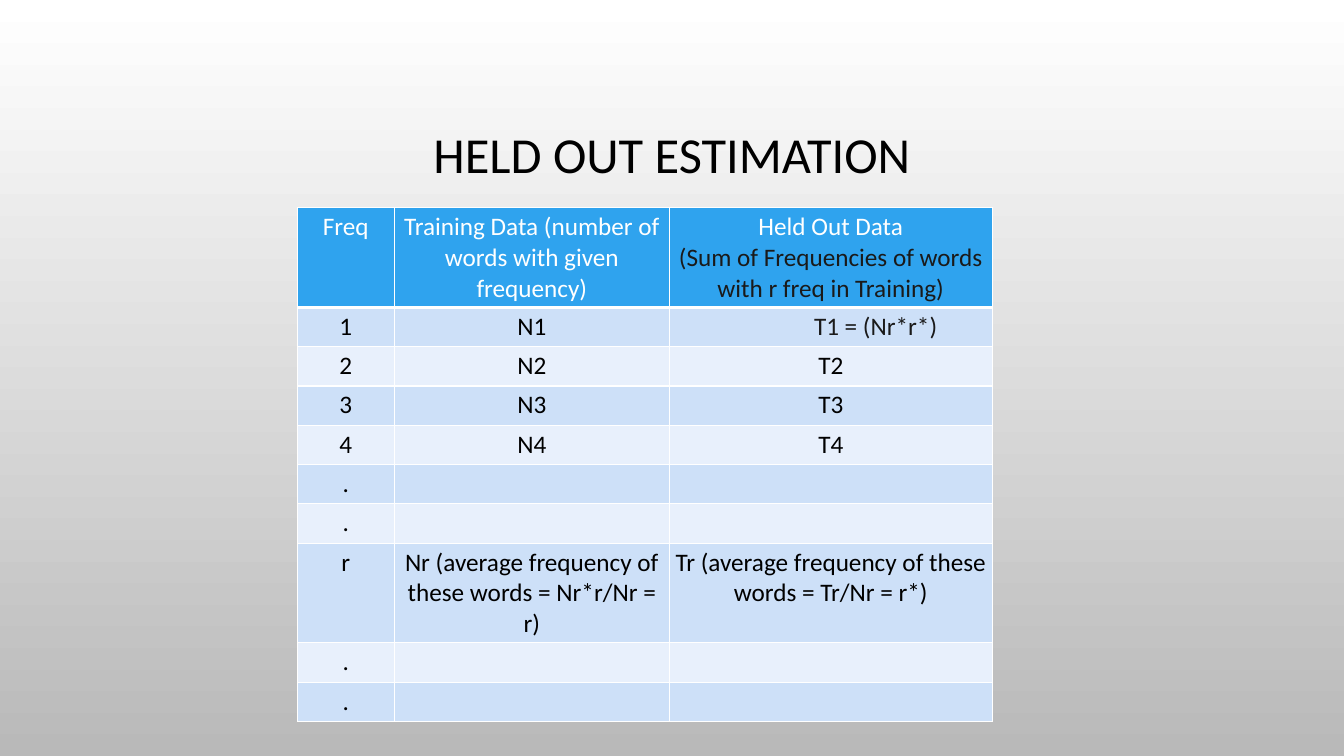
from pptx import Presentation
from pptx.dml.color import RGBColor
from pptx.enum.text import MSO_ANCHOR, PP_ALIGN
from pptx.oxml import parse_xml
from pptx.oxml.ns import nsdecls
from pptx.util import Inches, Pt

COLUMN_WIDTHS = [0.96, 2.73, 3.2]
ROW_HEIGHT = 0.39
TALL_ROW_HEIGHT = 0.99
TALL_ROWS = {0, 7}
FORMULA_INDENT = 0.94
ROWS = [
    ["Freq", "Training Data (number of words with given frequency)", "Held Out Data"],
    ["1", "N1", "T1 = (Nr*r*)"],
    ["2", "N2", "T2"],
    ["3", "N3", "T3"],
    ["4", "N4", "T4"],
    [".", "", ""],
    [".", "", ""],
    ["r", "Nr (average frequency of these words = Nr*r/Nr = r)",
     "Tr (average frequency of these words = Tr/Nr = r*)"],
    [".", "", ""],
    [".", "", ""],
]


def color(value):
    return RGBColor.from_string(value)


def write(para, text, size=18, fill="000000", font="Calibri", spacing=None):
    para.alignment = PP_ALIGN.CENTER
    if spacing:
        para.line_spacing = spacing
    span = para.add_run()
    span.text = text
    span.font.name = font
    span.font.size = Pt(size)
    span.font.color.rgb = color(fill)


class SlideBuilder:
    header_fill = "2FA3EE"
    band_fills = ["E8F0FC", "CDE0F8"]
    border = "FFFFFF"
    dark = "1A1A1A"

    def __init__(self, page):
        self.page = page

    def background(self, top, bottom):
        fill = self.page.background.fill
        fill.gradient()
        fill.gradient_angle = 270
        for stop, position, value in zip(fill.gradient_stops, (0, 1), (top, bottom)):
            stop.position = position
            stop.color.rgb = color(value)

    def title(self, text, left, top, width, height):
        box = self.page.shapes.add_textbox(
            Inches(left), Inches(top), Inches(width), Inches(height))
        frame = box.text_frame
        frame.word_wrap = True
        frame.vertical_anchor = MSO_ANCHOR.MIDDLE
        write(frame.paragraphs[0], text, size=36, spacing=0.9)

    def table(self, rows, left, top):
        heights = [TALL_ROW_HEIGHT if index in TALL_ROWS else ROW_HEIGHT
                   for index in range(len(rows))]
        table = self.page.shapes.add_table(
            len(rows), len(COLUMN_WIDTHS), Inches(left), Inches(top),
            Inches(sum(COLUMN_WIDTHS)), Inches(sum(heights))).table
        for column, width in zip(table.columns, COLUMN_WIDTHS):
            column.width = Inches(width)
        for row, height in zip(table.rows, heights):
            row.height = Inches(height)
        for row_index, texts in enumerate(rows):
            for column_index, text in enumerate(texts):
                self.cell(table.cell(row_index, column_index), text, row_index)
        return table

    def cell(self, cell, text, row_index):
        is_header = row_index == 0
        cell.margin_left = cell.margin_right = Inches(0.05)
        cell.margin_top = cell.margin_bottom = Inches(0.04)
        cell.vertical_anchor = MSO_ANCHOR.TOP
        for side in ("L", "R", "T", "B"):
            heavy = (is_header and side == "B") or (row_index == 1 and side == "T")
            self.edge(cell, side, 3 if heavy else 1)
        cell.fill.solid()
        cell.fill.fore_color.rgb = color(
            self.header_fill if is_header else self.band_fills[row_index % 2])
        if text:
            write(cell.text_frame.paragraphs[0], text,
                  fill="FFFFFF" if is_header else "000000")

    def edge(self, cell, side, width):
        cell._tc.get_or_add_tcPr().append(parse_xml(
            f'<a:ln{side} {nsdecls("a")} w="{Pt(width)}"><a:solidFill>'
            f'<a:srgbClr val="{self.border}"/></a:solidFill></a:ln{side}>'))


def main():
    deck = Presentation()
    deck.slide_width = Inches(13.33)
    deck.slide_height = Inches(7.5)
    builder = SlideBuilder(deck.slides.add_slide(deck.slide_layouts[6]))
    builder.background("FFFFFF", "B9B9B9")
    builder.title("HELD OUT ESTIMATION", 1, 0.68, 11.33, 1.75)
    table = builder.table(ROWS, 2.95, 2.06)
    write(table.cell(0, 2).text_frame.add_paragraph(),
          "(Sum of Frequencies of words with r freq in Training)", fill=builder.dark)
    formula = table.cell(1, 2)
    formula.margin_left = Inches(FORMULA_INDENT)
    formula.text_frame.paragraphs[0].runs[0].font.color.rgb = color(builder.dark)
    deck.save("out.pptx")


if __name__ == "__main__":
    main()
